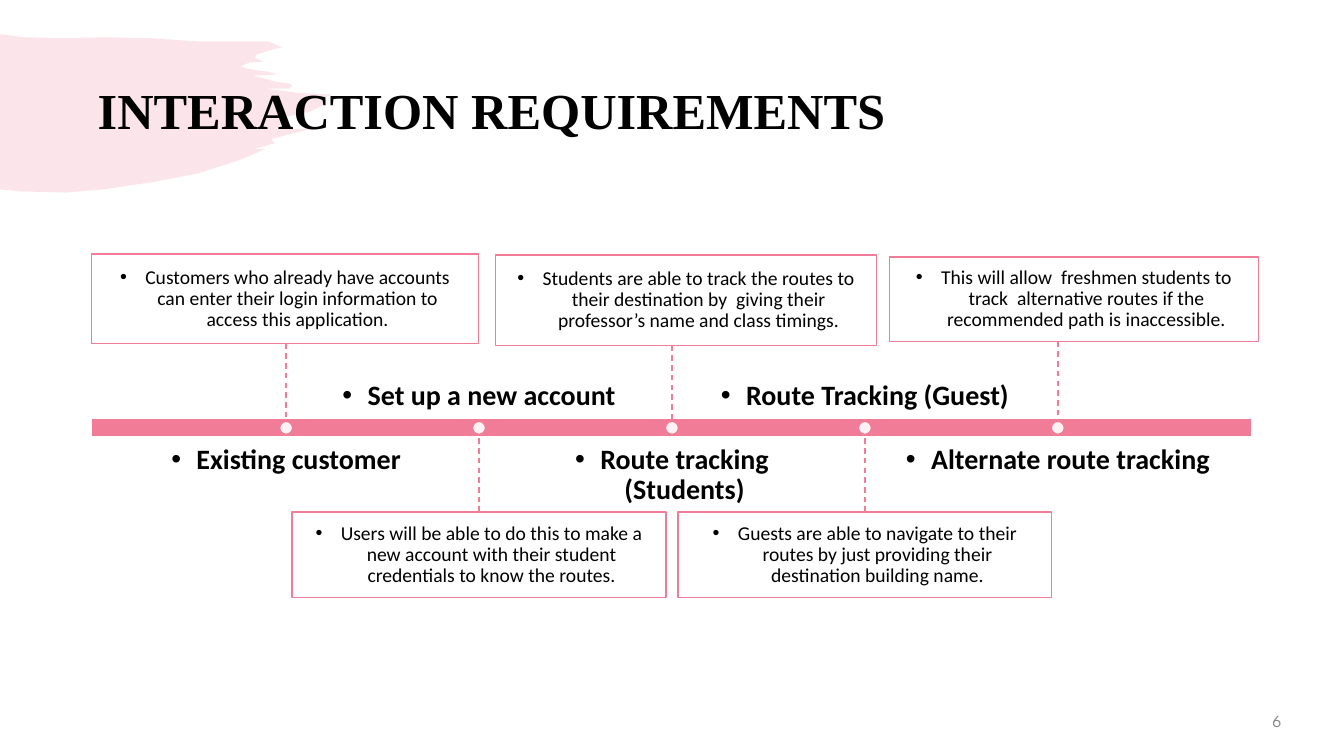
import pptx
import pptx.util
import pptx.dml.color
import pptx.enum.dml
import pptx.enum.shapes
import pptx.enum.text
import pptx.oxml.ns
from lxml import etree

Inches = pptx.util.Inches
Pt = pptx.util.Pt
RGBColor = pptx.dml.color.RGBColor
Shape = pptx.enum.shapes.MSO_SHAPE
Anchor = pptx.enum.text.MSO_ANCHOR
Align = pptx.enum.text.PP_ALIGN
qn = pptx.oxml.ns.qn

PINK = RGBColor(0xF0, 0x7C, 0x98)
BLUSH = RGBColor(0xFC, 0xE5, 0xEA)
DOT = RGBColor(0xFE, 0xF2, 0xF5)
WHITE = RGBColor(0xFF, 0xFF, 0xFF)
BLACK = RGBColor(0, 0, 0)
GREY = RGBColor(0x88, 0x88, 0x88)


def add_box(kind, left, top, width, height, fill, line):
    sp = s.shapes.add_shape(kind, Inches(left), Inches(top), Inches(width), Inches(height))
    sp.shadow.inherit = False
    sp.fill.solid()
    sp.fill.fore_color.rgb = fill
    sp.line.color.rgb = line
    sp.line.width = Pt(1)
    return sp


def write_bullet(tf, text, size, bold, anchor, inset_x, inset_y):
    tf.word_wrap = True
    tf.vertical_anchor = anchor
    tf.margin_left = tf.margin_right = Inches(inset_x)
    tf.margin_top = tf.margin_bottom = Inches(inset_y)
    p = tf.paragraphs[0]
    p.alignment = Align.CENTER
    p.line_spacing = 0.9
    pPr = p._p.get_or_add_pPr()
    pPr.set("marL", str(Inches(0.25)))
    pPr.set("indent", str(-Inches(0.25)))
    etree.SubElement(pPr, qn("a:buFont")).set("typeface", "Arial")
    etree.SubElement(pPr, qn("a:buChar")).set("char", "•")
    r = p.add_run()
    r.text = text
    r.font.name = "Calibri"
    r.font.size = Pt(size)
    r.font.bold = bold
    r.font.color.rgb = BLACK


prs = pptx.Presentation()
prs.slide_width = Inches(13.34)
prs.slide_height = Inches(7.5)
s = prs.slides.add_slide(prs.slide_layouts[5])

brush = [
    (0, 0.34), (0.25, 0.37), (0.66, 0.38), (1.02, 0.37), (1.5, 0.38), (1.94, 0.41),
    (2.48, 0.41), (2.66, 0.41), (2.8, 0.47), (2.71, 0.49), (2.55, 0.54), (2.53, 0.57),
    (2.56, 0.59), (2.62, 0.61), (2.48, 0.62), (2.38, 0.66), (2.46, 0.68), (2.56, 0.7),
    (2.66, 0.71), (2.75, 0.74), (2.51, 0.75), (2.63, 0.78), (2.73, 0.81), (2.8, 0.82),
    (2.88, 0.83), (2.9, 0.85), (2.87, 0.88), (2.84, 0.88), (2.63, 0.88), (2.95, 0.92),
    (3.3, 0.94), (3.21, 0.97), (3.22, 1.03), (3.18, 1.06), (3.07, 1.11), (3, 1.13),
    (2.83, 1.16), (2.8, 1.2), (2.78, 1.25), (2.74, 1.28), (3.08, 1.28), (2.69, 1.38),
    (2.73, 1.42), (2.52, 1.48), (2.63, 1.48), (2.4, 1.58), (1.97, 1.72), (1.5, 1.81),
    (1.02, 1.88), (0.65, 1.91), (0.23, 1.9), (0, 1.88),
]
fb = s.shapes.build_freeform(Inches(brush[0][0]), Inches(brush[0][1]))
fb.add_line_segments([(Inches(x), Inches(y)) for x, y in brush[1:]], close=True)
sp = fb.convert_to_shape()
sp.shadow.inherit = False
sp.fill.solid()
sp.fill.fore_color.rgb = BLUSH
sp.line.fill.background()
s.shapes._spTree.remove(sp._element)
s.shapes._spTree.insert(2, sp._element)

title = s.shapes.title
title.left, title.top = Inches(0.92), Inches(0.4)
title.width, title.height = Inches(11.5), Inches(1.45)
tf = title.text_frame
tf.auto_size = pptx.enum.text.MSO_AUTO_SIZE.NONE
tf.vertical_anchor = Anchor.MIDDLE
tf.margin_left = tf.margin_right = Inches(0.05)
p = tf.paragraphs[0]
p.alignment = Align.LEFT
p.line_spacing = 0.9
r = p.add_run()
r.text = "INTERACTION REQUIREMENTS"
r.font.name = "Times New Roman"
r.font.size = Pt(36)
r.font.bold = True
r.font.color.rgb = BLACK

add_box(Shape.RECTANGLE, 0.91, 4.15, 11.51, 0.18, PINK, WHITE)

milestones = [
    ("Existing customer",
     "Customers who already have accounts can enter their login information to access this application.",
     0.91, 2.52, 3.84, 0.89),
    ("Set up a new account",
     "Users will be able to do this to make a new account with their student credentials to know the routes.",
     2.9, 5.08, 3.71, 0.85),
    ("Route tracking (Students)",
     "Students are able to track the routes to their destination by  giving their professor’s name and class timings.",
     4.92, 2.53, 3.78, 0.9),
    ("Route Tracking (Guest)",
     "Guests are able to navigate to their routes by just providing their destination building name.",
     6.73, 5.08, 3.71, 0.85),
    ("Alternate route tracking",
     "This will allow  freshmen students to track  alternative routes if the recommended path is inaccessible.",
     8.83, 2.55, 3.66, 0.84),
]
AXIS_Y = 4.24
for i, (heading, detail, left, top, width, height) in enumerate(milestones):
    x = 2.84 + 1.915 * i
    detail_above = top < AXIS_Y
    edge = top + height if detail_above else top

    cn = s.shapes.add_connector(pptx.enum.shapes.MSO_CONNECTOR.STRAIGHT,
                                Inches(x), Inches(edge), Inches(x), Inches(AXIS_Y))
    cn.line.color.rgb = PINK
    cn.line.width = Pt(1)
    cn.line.dash_style = pptx.enum.dml.MSO_LINE.DASH
    etree.SubElement(cn._element.spPr, qn("a:effectLst"))

    sp = add_box(Shape.RECTANGLE, left, top, width, height, WHITE, PINK)
    write_bullet(sp.text_frame, detail, 14, False, Anchor.MIDDLE, 0.16, 0.04)

    heading_top, anchor = (4.42, Anchor.TOP) if detail_above else (3.8, Anchor.BOTTOM)
    heading_height = 0.6 if detail_above else 0.28
    sp = s.shapes.add_textbox(Inches(x - 1.535), Inches(heading_top),
                              Inches(3.07), Inches(heading_height))
    write_bullet(sp.text_frame, heading, 20, True, anchor, 0, 0)

    add_box(Shape.OVAL, x - 0.065, AXIS_Y - 0.06, 0.13, 0.13, DOT, PINK)

sp = s.shapes.add_textbox(Inches(11.85), Inches(6.99), Inches(0.92), Inches(0.33))
tf = sp.text_frame
tf.word_wrap = True
tf.vertical_anchor = Anchor.MIDDLE
tf.margin_left = tf.margin_right = Inches(0.05)
p = tf.paragraphs[0]
p.alignment = Align.RIGHT
r = p.add_run()
r.text = "6"
r.font.name = "League Spartan"
r.font.size = Pt(12)
r.font.color.rgb = GREY

prs.save("out.pptx")
